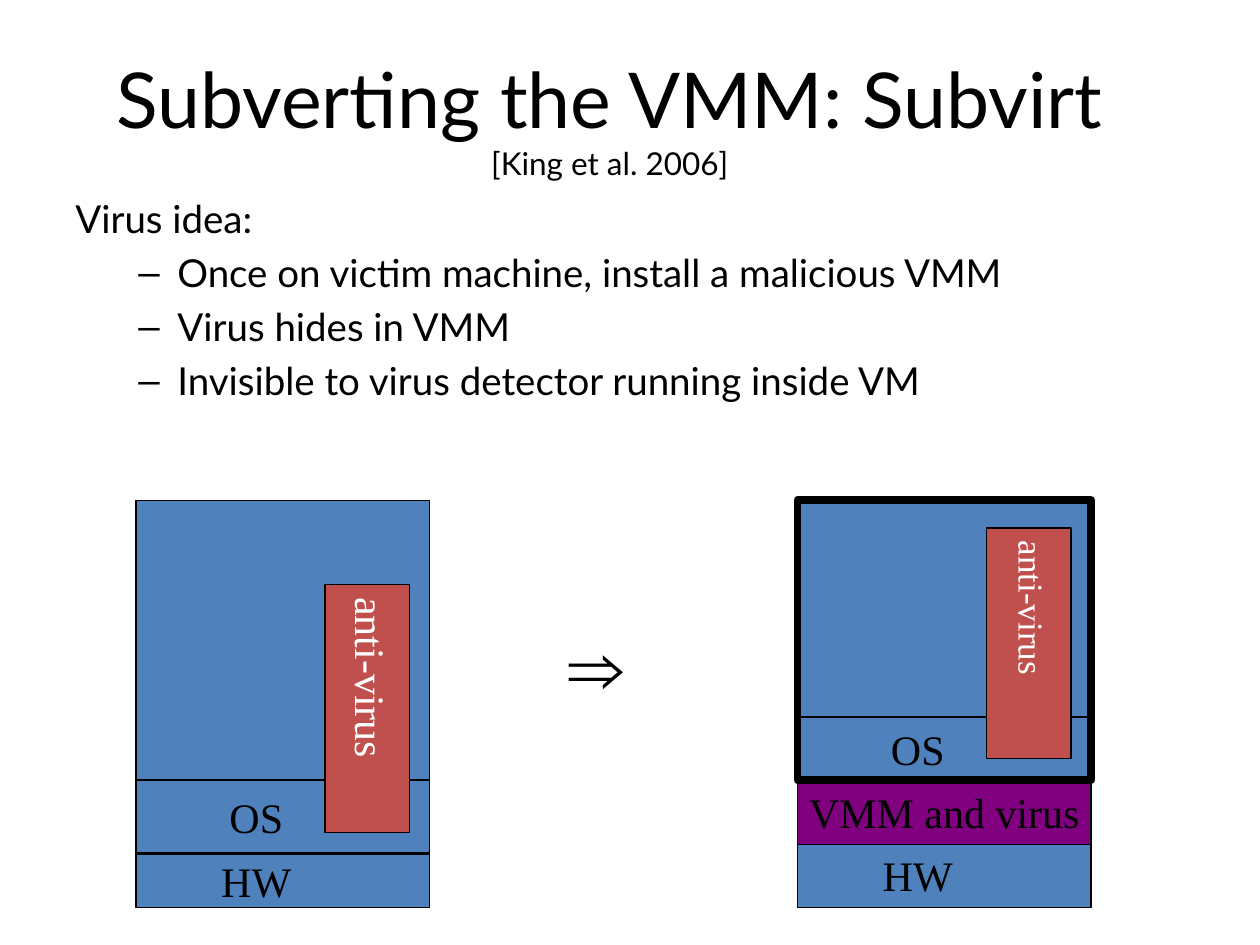
from dataclasses import dataclass

from lxml import etree
from pptx import Presentation
from pptx.dml.color import RGBColor
from pptx.enum import shapes, text
from pptx.oxml import ns
from pptx.util import Inches, Pt


@dataclass(frozen=True)
class Theme:
    black: str = "000000"
    white: str = "FFFFFF"
    blue: str = "4F81BD"
    red: str = "C0504D"
    purple: str = "800080"
    sans: str = "Lato"
    serif: str = "Times New Roman"
    title: int = 44
    cite: int = 18
    body: int = 22
    label: int = 24
    small: int = 20
    thin: float = 0.75
    thick: float = 4.5


theme = Theme()


def style(p, font, size, color=theme.black):
    for r in p.runs:
        r.font.name = font
        r.font.size = Pt(size)
        r.font.color.rgb = RGBColor.from_string(color)


def add_box(x, y, w, h, fill=None, weight=theme.thin):
    sp = s.shapes.add_shape(shapes.MSO_SHAPE.RECTANGLE,
                            Inches(x), Inches(y), Inches(w), Inches(h))
    sp.shadow.inherit = False
    if fill:
        sp.fill.solid()
        sp.fill.fore_color.rgb = RGBColor.from_string(fill)
    else:
        sp.fill.background()
    sp.line.color.rgb = RGBColor.from_string(theme.black)
    sp.line.width = Pt(weight)
    return sp


prs = Presentation()
prs.slide_width, prs.slide_height = Inches(10), Inches(7.5)
s = prs.slides.add_slide(prs.slide_layouts[6])

# Title with citation
tf = s.shapes.add_textbox(Inches(0.5), Inches(0.3), Inches(9), Inches(1.25)).text_frame
tf.word_wrap = True
tf.vertical_anchor = text.MSO_ANCHOR.MIDDLE
tf.text = "Subverting the VMM: Subvirt\n[King et al. 2006]"
for p, size in zip(tf.paragraphs, (theme.title, theme.cite)):
    p.alignment = text.PP_ALIGN.CENTER
    style(p, theme.sans, size)
# The heading sits slightly left of the citation
tf.paragraphs[0]._p.get_or_add_pPr().set("marR", str(Inches(0.32)))

# Virus idea and its points
tf = s.shapes.add_textbox(Inches(0.5), Inches(1.5), Inches(9.17), Inches(2.2)).text_frame
tf.word_wrap = True
tf.text = "\n".join((
    "Virus idea:",
    "Once on victim machine, install a malicious VMM",
    "Virus hides in VMM",
    "Invisible to virus detector running inside VM",
))
for i, p in enumerate(tf.paragraphs):
    if i:
        p.level = 1
        p.space_before = Pt(4.4)
        pPr = p._p.get_or_add_pPr()
        pPr.set("marL", str(Inches(0.81)))
        pPr.set("indent", str(Inches(-0.31)))
        etree.SubElement(pPr, ns.qn("a:buFont")).set("typeface", "Arial")
        etree.SubElement(pPr, ns.qn("a:buChar")).set("char", "–")
    style(p, theme.sans, theme.body)

# Machine before and after infection: layers, then the virus detector
top, width, bottom = 3.97, 2.33, 7.19
machines = (
    (1.08,
     (("HW", 6.78, 0.42, theme.blue), ("OS", 6.19, 0.58, theme.blue)),
     (4.64, 1.97, theme.label)),
    (6.33,
     (("HW", 6.69, 0.51, theme.blue), ("OS", 5.69, 0.51, theme.blue),
      ("VMM and virus", 6.19, 0.51, theme.purple)),
     (4.19, 1.83, theme.small)),
)
for left, layers, (y, h, size) in machines:
    add_box(left, top, width, bottom - top, theme.blue)
    for label, layer_y, layer_h, fill in layers:
        tf = add_box(left, layer_y, width, layer_h, fill).text_frame
        tf.word_wrap = False
        tf.vertical_anchor = text.MSO_ANCHOR.MIDDLE
        if len(label) == 2:
            tf.margin_right = Inches(0.52)  # keeps short labels left of centre
        tf.text = label
        tf.paragraphs[0].alignment = text.PP_ALIGN.CENTER
        style(tf.paragraphs[0], theme.serif, theme.label)

    tf = add_box(left + 1.5, y, 0.67, h, theme.red).text_frame
    tf.word_wrap = True
    tf.vertical_anchor = text.MSO_ANCHOR.MIDDLE
    tf.margin_top = tf.margin_bottom = Inches(0.1)
    tf.margin_left = tf.margin_right = Inches(0.05)
    tf._txBody.bodyPr.set("vert", "eaVert")
    tf.text = "anti-virus"
    p = tf.paragraphs[0]
    p.alignment = text.PP_ALIGN.LEFT
    p.line_spacing = 0.8
    style(p, theme.serif, size, theme.white)

# Heavy frame around the virtual machine
add_box(6.33, top, width, 2.22, weight=theme.thick)

# Implication sign between the machines
tf = s.shapes.add_textbox(Inches(4.33), Inches(4.86), Inches(0.81), Inches(0.84)).text_frame
tf.word_wrap = False
tf.text = "⇒"
tf.paragraphs[0].alignment = text.PP_ALIGN.CENTER
style(tf.paragraphs[0], theme.serif, theme.title)

prs.save("out.pptx")
